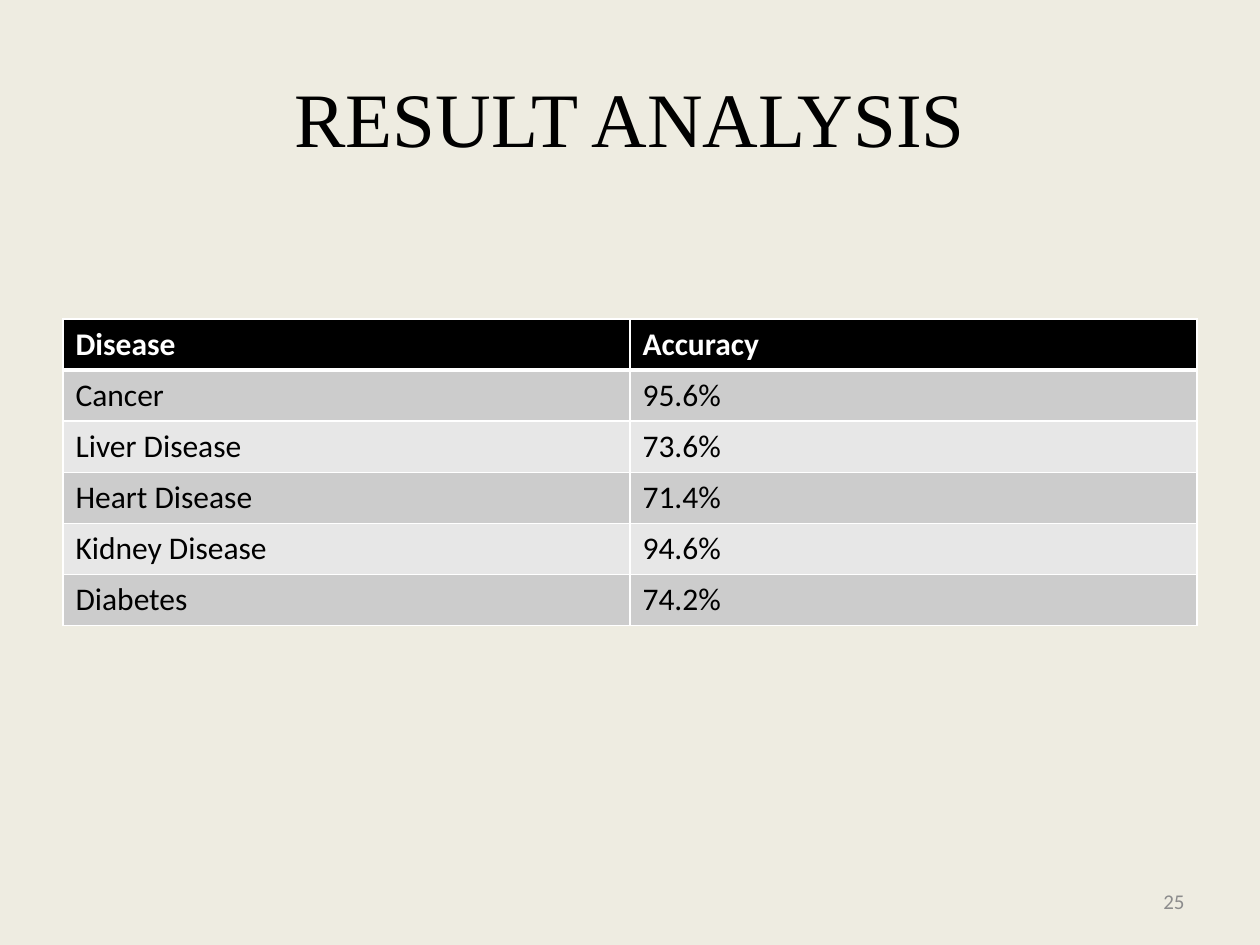
from dataclasses import dataclass

from lxml import etree
from pptx import Presentation
from pptx.dml.color import RGBColor
from pptx.enum.text import MSO_ANCHOR, PP_ALIGN
from pptx.oxml.ns import qn
from pptx.util import Emu, Pt

CENTER, RIGHT = PP_ALIGN.CENTER, PP_ALIGN.RIGHT
LEFT = PP_ALIGN.LEFT
MIDDLE = MSO_ANCHOR.MIDDLE
PX_PER_INCH = 126


@dataclass(frozen=True)
class Theme:
    background: str = "EEECE1"
    ink: str = "000000"
    light: str = "FFFFFF"
    muted: str = "8C8C8C"
    bands: tuple = ("CCCCCC", "E7E7E7")
    title_font: str = "Times New Roman"
    body_font: str = "Calibri"
    title_size: int = 44
    body_size: int = 18
    number_size: int = 12
    thin_line: int = 1
    header_line: int = 3


THEME = Theme()

RESULTS = [
    ("Disease", "Accuracy"),
    ("Cancer", "95.6%"),
    ("Liver Disease", "73.6%"),
    ("Heart Disease", "71.4%"),
    ("Kidney Disease", "94.6%"),
    ("Diabetes", "74.2%"),
]


def px(length):
    return Emu(round(length * 914400 / PX_PER_INCH))


def place(shape, left, top, width, height):
    box = {"left": left, "top": top, "width": width, "height": height}
    for name, length in box.items():
        setattr(shape, name, px(length))


def write_text(text_frame, text, color, alignment=LEFT, **font_format):
    paragraph = text_frame.paragraphs[0]
    paragraph.alignment = alignment
    run = paragraph.add_run()
    run.text = text
    for name, value in font_format.items():
        setattr(run.font, name, value)
    run.font.color.rgb = RGBColor.from_string(color)


def add_title(slide, text):
    title = slide.shapes.title
    place(title, 63, 38, 1134, 157)
    title.text_frame.vertical_anchor = MIDDLE
    write_text(title.text_frame, text, THEME.ink, CENTER,
               name=THEME.title_font, size=Pt(THEME.title_size))


def add_page_number(slide, text):
    box = slide.shapes.add_textbox(px(903), px(876), px(294), px(50))
    box.text_frame.word_wrap = True
    box.text_frame.vertical_anchor = MIDDLE
    write_text(box.text_frame, text, THEME.muted, RIGHT,
               name=THEME.body_font, size=Pt(THEME.number_size))


def set_borders(cell, widths):
    properties = cell._tc.get_or_add_tcPr()
    for index, (side, width) in enumerate(widths.items()):
        line = etree.Element(qn(f"a:ln{side}"), w=str(Pt(width)))
        fill = etree.SubElement(line, qn("a:solidFill"))
        etree.SubElement(fill, qn("a:srgbClr"), val=THEME.light)
        properties.insert(index, line)


def format_cell(cell, text, row):
    is_header = row == 0
    fill = THEME.ink if is_header else THEME.bands[(row - 1) % 2]
    cell.fill.solid()
    cell.fill.fore_color.rgb = RGBColor.from_string(fill)
    write_text(cell.text_frame, text, THEME.light if is_header else THEME.ink,
               name=THEME.body_font, size=Pt(THEME.body_size), bold=is_header)
    # The heavy rule is shared by the header and the first body row
    widths = dict.fromkeys("LRTB", THEME.thin_line)
    if row < 2:
        widths["B" if is_header else "T"] = THEME.header_line
    set_borders(cell, widths)


def add_results_table(slide, rows, row_height=51):
    frame = slide.shapes.add_table(len(rows), len(rows[0]), px(63), px(319),
                                   px(1134), px(row_height * len(rows)))
    for row, values in enumerate(rows):
        for column, text in enumerate(values):
            format_cell(frame.table.cell(row, column), text, row)


def main():
    presentation = Presentation()
    presentation.slide_width = px(1260)
    presentation.slide_height = px(945)
    slide = presentation.slides.add_slide(
        presentation.slide_layouts.get_by_name("Title Only"))

    # Background
    slide.background.fill.solid()
    slide.background.fill.fore_color.rgb = RGBColor.from_string(THEME.background)

    # Content
    add_title(slide, "RESULT ANALYSIS")
    add_results_table(slide, RESULTS)
    add_page_number(slide, "25")

    presentation.save("out.pptx")


if __name__ == "__main__":
    main()
